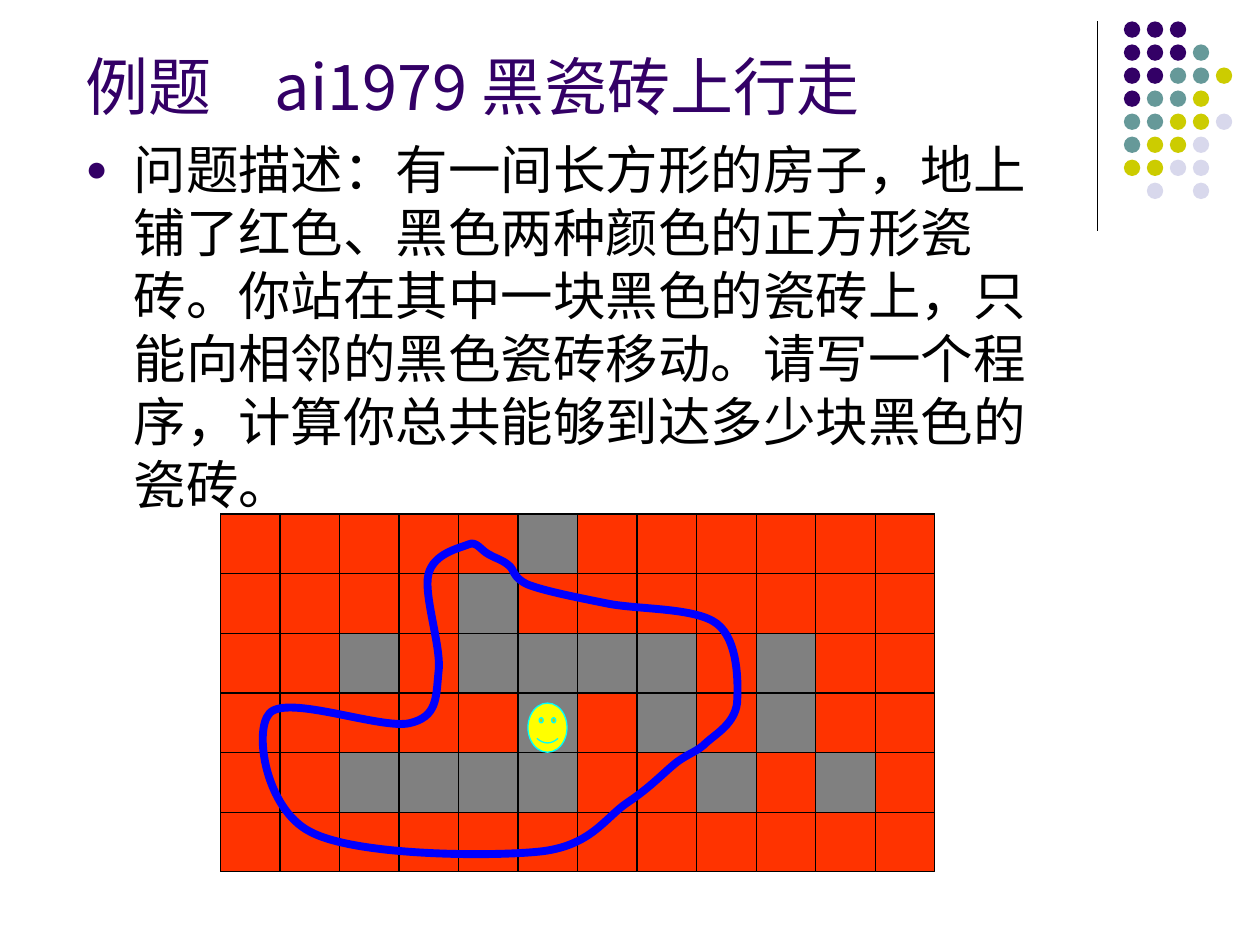
import pptx
import pptx.dml.color
import pptx.enum.shapes
import pptx.enum.text
import pptx.oxml.ns
import pptx.util
from lxml import etree

Inches = pptx.util.Inches
Pt = pptx.util.Pt
qn = pptx.oxml.ns.qn
Shapes = pptx.enum.shapes.MSO_SHAPE


def color(value):
    return pptx.dml.color.RGBColor.from_string(value)


def add_figure(shapes, kind, left, top, width, height, fill, line=None):
    figure = shapes.add_shape(kind, Inches(left), Inches(top), Inches(width), Inches(height))
    figure.shadow.inherit = False
    figure.fill.solid()
    figure.fill.fore_color.rgb = color(fill)
    if line:
        figure.line.color.rgb = color(line)
        figure.line.width = Pt(0.75)
    else:
        figure.line.fill.background()


deck = pptx.Presentation()
deck.slide_width, deck.slide_height = Inches(10), Inches(7.5)
page = deck.slides.add_slide(deck.slide_layouts[1])

# Corner ornament: rule and dots
rule = page.shapes.add_connector(
    pptx.enum.shapes.MSO_CONNECTOR.STRAIGHT, Inches(8.71), Inches(0.17), Inches(8.71), Inches(1.83))
rule.line.color.rgb = color("000000")
rule.line.width = Pt(0.75)
etree.SubElement(rule._element.spPr, qn("a:effectLst"))

dot_colors = {"P": "330066", "T": "669999", "Y": "CCCC00", "L": "D8D8EC"}
dot_rows = ["PPP", "PPPT", "PPTTY", "PTTY", "TTYYL", "TYYL", "YYLL", ".L.L"]
dots = page.shapes.add_group_shape()
for row, marks in enumerate(dot_rows):
    for column, mark in enumerate(marks):
        if mark in dot_colors:
            add_figure(dots.shapes, Shapes.OVAL, 8.92 + column * 0.73 / 4,
                       0.17 + row * 1.28 / 7, 0.13, 0.13, dot_colors[mark])

# Title and problem statement
statement = ("问题描述：有一间长方形的房子，地上铺了红色、黑色两种颜色的正方形瓷砖。"
             "你站在其中一块黑色的瓷砖上，只能向相邻的黑色瓷砖移动。"
             "请写一个程序，计算你总共能够到达多少块黑色的瓷砖。")
texts = [
    (page.shapes.title, 0.38, 0.7, "例题　ai1979 黑瓷砖上行走", "Noto Sans CJK SC", 36, 43, "330066"),
    (page.placeholders[1], 1.09, 3, statement, "Arial", 30, 36, "000000"),
]
for box, top, height, words, font, size, leading, ink in texts:
    box.left, box.top = Inches(0.58), Inches(top)
    box.width, box.height = Inches(7.92), Inches(height)
    frame = box.text_frame
    frame.word_wrap = True
    frame.auto_size = pptx.enum.text.MSO_AUTO_SIZE.NONE
    frame.vertical_anchor = pptx.enum.text.MSO_ANCHOR.TOP
    frame.margin_top = frame.margin_bottom = 0
    para = frame.paragraphs[0]
    para.alignment = pptx.enum.text.PP_ALIGN.LEFT
    para.space_before = Pt(0)
    para.line_spacing = Pt(leading)
    para._p.get_or_add_pPr().set("hangingPunct", "0")
    span = para.add_run()
    span.text = words
    span.font.name = font
    span.font.size = Pt(size)
    span.font.color.rgb = color(ink)
    etree.SubElement(span.font._element, qn("a:ea"), typeface=font)

# Bullet of the problem statement
bullet = page.placeholders[1].text_frame.paragraphs[0]._p.get_or_add_pPr()
bullet.set("marL", str(Inches(0.38)))
bullet.set("indent", str(-Inches(0.38)))
bullet_color = etree.SubElement(bullet, qn("a:buClr"))
etree.SubElement(bullet_color, qn("a:srgbClr"), val="330066")
etree.SubElement(bullet, qn("a:buSzPct"), val="70000")
etree.SubElement(bullet, qn("a:buFont"), typeface="Arial")
etree.SubElement(bullet, qn("a:buChar"), char="●")

# Tiled floor: # is a black tile, . is a red one
floor = [
    ".....#......",
    "....#.......",
    "..#.####.#..",
    ".....#.#.#..",
    "..####..#.#.",
    "............",
]
floor_left, floor_top, floor_width, floor_height = 1.75, 4.08, 5.67, 2.84
tile_width, tile_height = floor_width / 12, floor_height / 6
add_figure(page.shapes, Shapes.RECTANGLE, floor_left, floor_top,
           floor_width, floor_height, "000000", "000000")
for row, marks in enumerate(floor):
    for column, mark in enumerate(marks):
        add_figure(page.shapes, Shapes.RECTANGLE, floor_left + column * tile_width,
                   floor_top + row * tile_height, tile_width, tile_height,
                   "808080" if mark == "#" else "FF3300", "000000")

# Starting position
add_figure(page.shapes, Shapes.SMILEY_FACE, 4.19, 5.58, 0.31, 0.39, "FFFF00", "00FFFF")

# Outline around the reachable tiles: two control points and an end per curve
curves = [
    [(3.93, 4.43), (3.98, 4.44), (4.03, 4.48)],
    [(4.09, 4.52), (4.06, 4.58), (4.19, 4.64)],
    [(4.32, 4.69), (4.57, 4.74), (4.82, 4.79)],
    [(5.07, 4.84), (5.52, 4.82), (5.69, 4.95)],
    [(5.86, 5.08), (5.86, 5.42), (5.85, 5.58)],
    [(5.83, 5.74), (5.69, 5.82), (5.61, 5.89)],
    [(5.53, 5.97), (5.48, 5.97), (5.37, 6.05)],
    [(5.27, 6.13), (5.16, 6.25), (4.98, 6.37)],
    [(4.8, 6.49), (4.69, 6.72), (4.27, 6.76)],
    [(3.85, 6.8), (2.81, 6.79), (2.46, 6.6)],
    [(2.11, 6.42), (2.01, 5.8), (2.14, 5.66)],
    [(2.28, 5.51), (3.02, 5.79), (3.25, 5.74)],
    [(3.47, 5.69), (3.46, 5.54), (3.48, 5.34)],
    [(3.51, 5.15), (3.36, 4.73), (3.4, 4.56)],
    [(3.44, 4.39), (3.65, 4.35), (3.72, 4.32)],
    [(3.78, 4.29), (3.82, 4.37), (3.88, 4.4)],
]
points = [(Inches(x), Inches(y)) for curve in curves for x, y in curve]
builder = page.shapes.build_freeform(*points[-1])
builder.add_line_segments(points, close=True)
outline = builder.convert_to_shape()
outline.shadow.inherit = False
outline.fill.background()
outline.line.color.rgb = color("0000FF")
outline.line.width = Pt(4.5)

# Turn every three line segments into one Bezier curve
segments = list(outline._element.iter(qn("a:lnTo")))
for index in range(0, len(points), 3):
    bend = etree.Element(qn("a:cubicBezTo"))
    segments[index].addprevious(bend)
    for segment in segments[index:index + 3]:
        bend.append(segment[0])
        segment.getparent().remove(segment)

deck.save("out.pptx")
